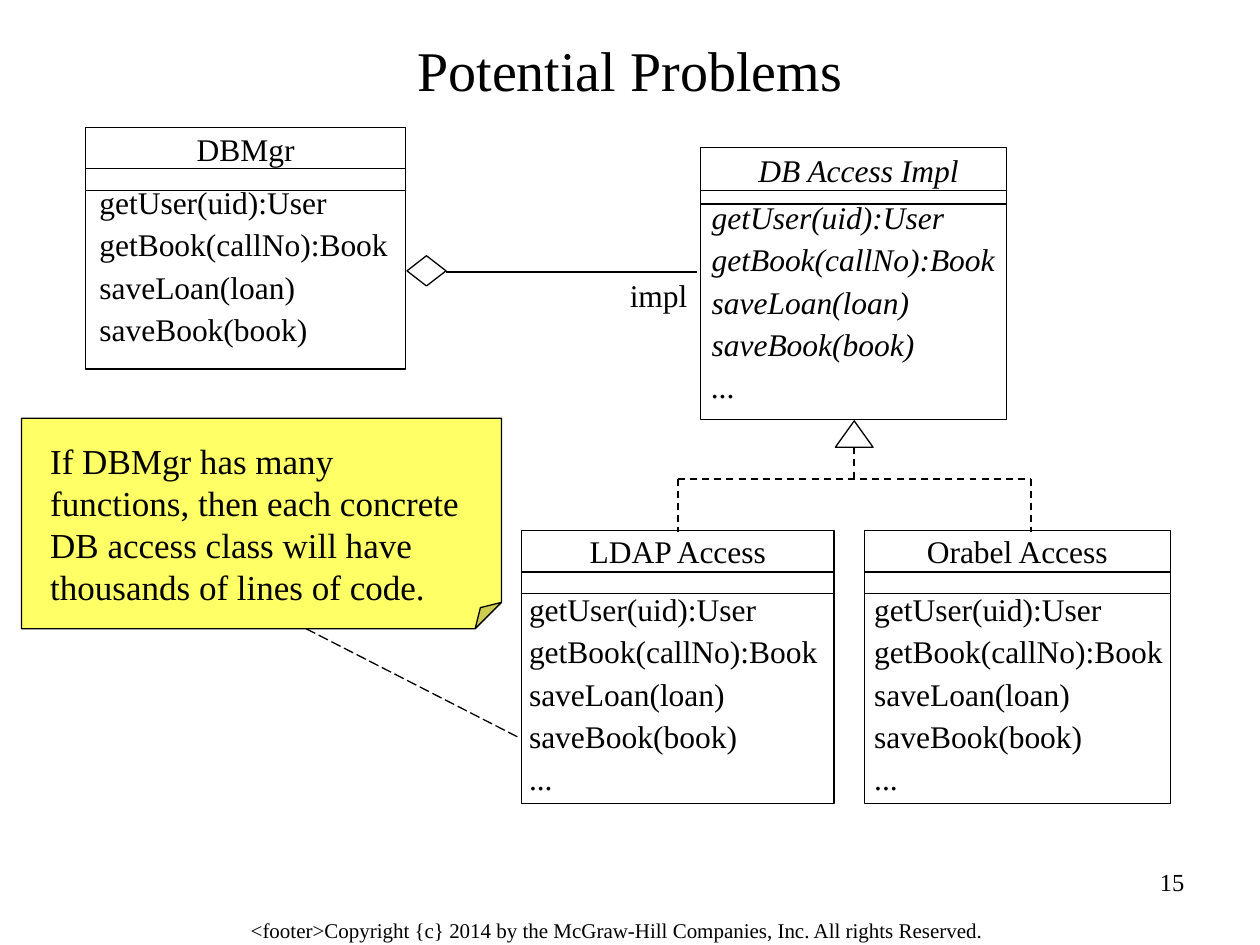
from dataclasses import dataclass

from pptx import Presentation
from pptx.dml.color import RGBColor as Rgb
from pptx.enum.dml import MSO_LINE as Dash
from pptx.enum.shapes import MSO_CONNECTOR as Link, MSO_SHAPE as Kind
from pptx.enum.text import MSO_ANCHOR as Anchor, MSO_AUTO_SIZE as Fit, PP_ALIGN as Align
from pptx.oxml.ns import qn
from pptx.util import Inches, Pt
from lxml.etree import SubElement

# The grid has 100 columns and 75 rows, each a tenth of an inch.
CELL = Inches(0.1)


@dataclass(frozen=True)
class Theme:
    font: str = "Times New Roman"
    ink: Rgb = Rgb(0, 0, 0)
    note: Rgb = Rgb(0xFF, 0xFF, 0x66)
    title: int = 32
    body: int = 18
    large: int = 20
    page: int = 14
    small: int = 12
    thin: float = 0.75
    dash: float = 1


THEME = Theme()
CALLS = ["getUser(uid):User", "getBook(callNo):Book", "saveLoan(loan)", "saveBook(book)"]


def grid(*cells):
    return [round(n * CELL) for n in cells]


def write(frame, text, size=THEME.body, italic=False, align=Align.LEFT,
          wrap=True, pitch=None, gap=0, pad=(1, 0.5)):
    """Fill a text frame, one paragraph for each line of text."""
    frame.word_wrap, frame.auto_size = wrap, Fit.NONE
    frame.margin_left = frame.margin_right = round(pad[0] * CELL)
    frame.margin_top = frame.margin_bottom = round(pad[1] * CELL)
    for i, line in enumerate(text.split("\n")):
        para = frame.add_paragraph() if i else frame.paragraphs[0]
        para.alignment = align
        if pitch:
            para.line_spacing = pitch
        para.space_before = Pt(gap if i else 0)
        run = para.add_run()
        run.text = line
        font = run.font
        font.name, font.size, font.italic = THEME.font, Pt(size), italic
        font.color.rgb = THEME.ink


def label(slide, box, text, **form):
    write(slide.shapes.add_textbox(*grid(*box)).text_frame, text, **form)


def shape(slide, kind, box, fill=None):
    part = slide.shapes.add_shape(kind, *grid(*box))
    part.shadow.inherit = False
    if fill is None:
        part.fill.background()
    else:
        part.fill.solid()
        part.fill.fore_color.rgb = fill
    part.line.color.rgb = THEME.ink
    part.line.width = Pt(THEME.thin)
    return part


def rule(slide, start, end, dash=None, width=THEME.thin):
    line = slide.shapes.add_connector(Link.STRAIGHT, *grid(*start, *end))
    line.line.color.rgb = THEME.ink
    line.line.width = Pt(width)
    if dash:
        line.line.dash_style = dash
    SubElement(line._element.spPr, qn("a:effectLst"))


def head(slide, box, text):
    title = slide.shapes.title
    title.left, title.top, title.width, title.height = grid(*box)
    title.text_frame.vertical_anchor = Anchor.MIDDLE
    write(title.text_frame, text, size=THEME.title, align=Align.CENTER)


def entity(slide, box, name, calls, rows=(3.3, 5), inset=0, drop=0.3,
           shift=0, lift=0.4, italic=False):
    """A class box: name, empty attribute band, list of methods."""
    x, y, w, h = box
    shape(slide, Kind.RECTANGLE, box)
    for row in rows:
        rule(slide, (x, y + row), (x + w, y + row))
    label(slide, (x + shift, y - lift, w, 4), name, italic=italic,
          align=Align.CENTER, wrap=False)
    top = rows[1] + drop
    label(slide, (x + inset, y + top, w + 1.4, h - top), "\n".join(calls),
          italic=italic, pitch=0.6, gap=11.2)


def part_of(slide, box, end, text):
    """Aggregation: a diamond, a line to the right and a role name."""
    x, y, w, h = box
    shape(slide, Kind.DIAMOND, box)
    mid = y + h / 2 + 0.1
    rule(slide, (x + w, mid), (end, mid))
    label(slide, (end - 6.3, mid - 0.2, 6.6, 4), text, wrap=False)


def tree(slide, box, root, tip):
    """Realization: a triangle above a dashed bar with two legs."""
    x, y, w, h = box
    shape(slide, Kind.ISOSCELES_TRIANGLE, (root - 1.5, tip, 3, 2.1))
    for start, end in [((root, tip + 2.1), (root, y)), ((x, y), (x + w, y)),
                       ((x, y), (x, y + h)), ((x + w, y), (x + w, y + h))]:
        rule(slide, start, end, Dash.DASH, THEME.dash)


def note(slide, box, text, goal):
    """A folded note with a dashed line to what it comments on."""
    x, y, w, h = box
    card = shape(slide, Kind.FOLDED_CORNER, box, THEME.note)
    # The fold takes an eighth of the height
    fold = card._element.spPr.find(qn("a:prstGeom")).find(qn("a:avLst"))
    SubElement(fold, qn("a:gd"), name="adj", fmla="val 12500")
    label(slide, (x + 1.3, y + 1.2, w - 2.1, h - 2.3), text, size=THEME.large)
    rule(slide, (x + w * 0.593, y + h), goal, Dash.LONG_DASH)


def foot(slide, box, text, page):
    label(slide, box, text, size=THEME.small, pad=(1.1, 0.6))
    label(slide, (71.7, 68.3, 23.3, 5.2), page, size=THEME.page, align=Align.RIGHT)


def main():
    deck = Presentation()
    deck.slide_width, deck.slide_height = grid(100, 75)
    slide = deck.slides.add_slide(deck.slide_layouts[5])
    more = CALLS + ["..."]

    head(slide, (5, 1.7, 90, 7.5), "Potential Problems")

    # Manager and the abstract class it uses
    entity(slide, (6.8, 10.1, 25.4, 19.2), "DBMgr", CALLS, inset=0.1, drop=0, lift=0.3)
    entity(slide, (55.6, 11.7, 24.3, 21.6), "DB Access Impl", more, rows=(3.4, 4.5),
           inset=-0.1, drop=0.1, shift=0.4, lift=0.2, italic=True)
    part_of(slide, (32.3, 20.3, 3.1, 2.4), 55.3, "impl")

    # Concrete classes
    tree(slide, (53.8, 38, 28, 4.2), 67.8, 33.4)
    entity(slide, (41.4, 42.1, 24.8, 21.7), "LDAP Access", more, inset=-0.4)
    entity(slide, (68.6, 42.1, 24.3, 21.7), "Orabel Access", more, inset=-0.2)

    note(slide, (1.7, 33.2, 38.1, 16.7),
         "If DBMgr has many functions, then each concrete DB access class "
         "will have thousands of lines of code.", (41.3, 58.6))

    foot(slide, (18.8, 72.2, 61.9, 3.1),
         "<footer>Copyright {c} 2014 by the McGraw-Hill Companies, Inc. "
         "All rights Reserved.", "15")
    deck.save("out.pptx")


if __name__ == "__main__":
    main()
